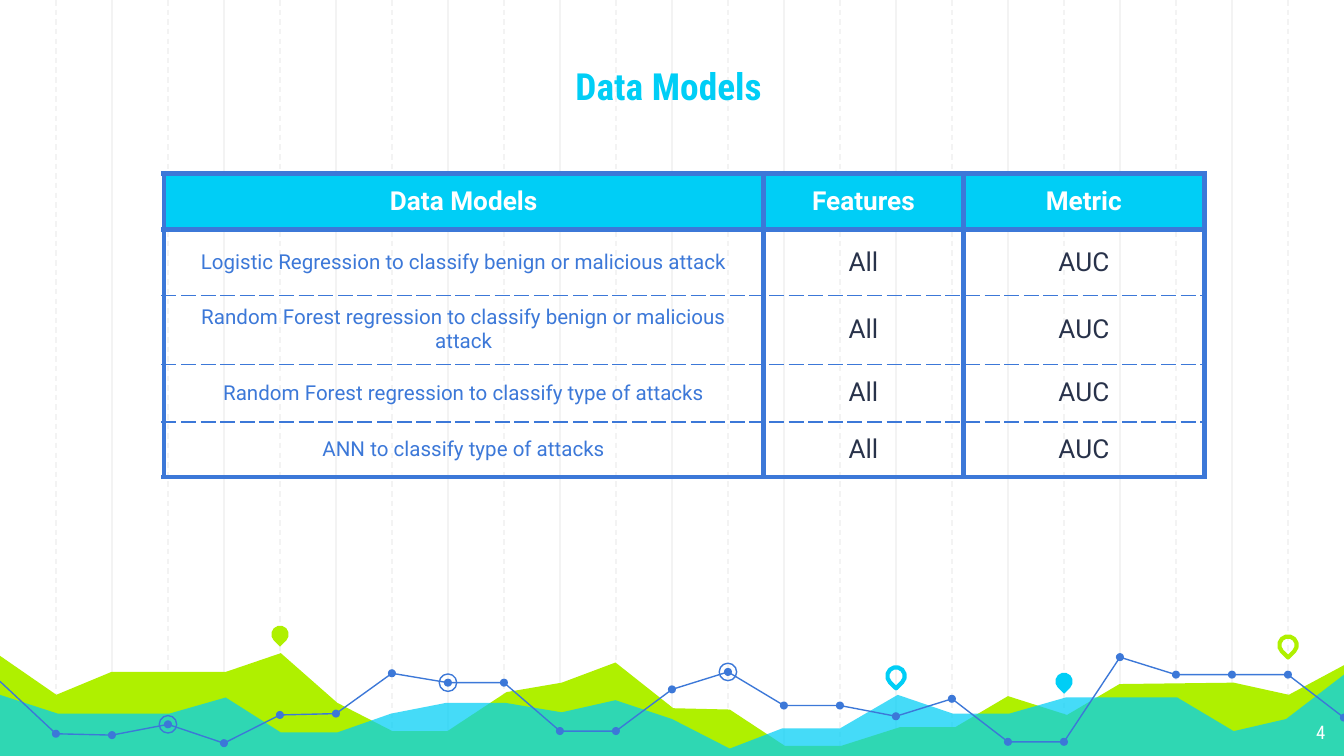
from lxml.etree import SubElement
from pptx import Presentation
from pptx.dml.color import RGBColor
from pptx.enum.dml import MSO_LINE as Dash
from pptx.enum.shapes import MSO_CONNECTOR as Link, MSO_SHAPE as Shape
from pptx.enum.text import MSO_ANCHOR as Anchor, PP_ALIGN as Align
from pptx.oxml.ns import qn
from pptx.util import Inches, Pt

WIDE, HIGH = 10, 10 * 9 / 16
STEP = WIDE / 24
BLUE, CYAN, LIME = "3C78D8", "00CEF6", "AFF000"
GREY, DARK, WHITE = "F3F3F3", "28324A", "FFFFFF"

# Content
TITLE = "Data Models"
ROWS = [
    ("Data Models", "Features", "Metric"),
    ("Logistic Regression to classify benign or malicious attack", "All", "AUC"),
    ("Random Forest regression to classify benign or malicious attack", "All", "AUC"),
    ("Random Forest regression to classify type of attacks", "All", "AUC"),
    ("ANN to classify type of attacks", "All", "AUC"),
]
COLS = [4.46, 1.49, 1.79]
TALL = [0.42, 0.49, 0.51, 0.43, 0.41]

# Landscape: ridge points of the hills, heights of the line chart per grid step
HILLS = [
    (LIME, 100, [
        (0, 4.88), (0.42, 5.17), (0.83, 5), (1.68, 5), (2.09, 4.86), (2.51, 5.23),
        (2.92, 5.44), (3.33, 5.44), (3.77, 5.15), (4.18, 5.08), (4.58, 4.93), (5.01, 5.27),
        (5.43, 5.28), (5.84, 5.55), (6.26, 5.55), (6.7, 5.41), (7.11, 5.41), (7.5, 5.18),
        (7.94, 5.32), (8.33, 5.09), (9.18, 5.08), (9.59, 5.17), (WIDE, 4.95)]),
    (CYAN, 73, [
        (0, 5.17), (0.43, 5.31), (1.26, 5.31), (1.68, 5.19), (2.09, 5.45), (2.51, 5.45),
        (2.91, 5.31), (3.32, 5.23), (3.76, 5.23), (4.18, 5.3), (4.58, 5.21), (5, 5.35),
        (5.43, 5.57), (5.82, 5.42), (6.25, 5.42), (6.68, 5.17), (7.09, 5.31), (7.51, 5.31),
        (7.93, 5.19), (8.76, 5.19), (9.18, 5.44), (9.57, 5.35), (WIDE, 5.02)]),
]
LEVELS = [
    5.07, 5.46, 5.47, 5.39, 5.53, 5.32, 5.31, 5.01, 5.08, 5.08, 5.44, 5.44, 5.13,
    5, 5.25, 5.25, 5.33, 5.2, 5.52, 5.52, 4.89, 5.02, 5.02, 5.02, 5.34,
]
TRAILS = [(0, 11), (11, 20), (20, 24)]  # first and last step of each stretch
RINGS = [8, 3, 13]
PINS = [  # grid step, height, colour, filled
    (5, 4.72, LIME, True), (16, 5.03, CYAN, False),
    (19, 5.07, CYAN, True), (23, 4.8, LIME, False),
]


def tint(code):
    return RGBColor.from_string(code)


def paint(part, fill=None, line=None, width=0.75):
    part.shadow.inherit = False
    if fill:
        part.fill.solid()
        part.fill.fore_color.rgb = tint(fill)
    else:
        part.fill.background()
    if line:
        part.line.color.rgb = tint(line)
        part.line.width = Pt(width)
    else:
        part.line.fill.background()


def trace(pts, close):
    pts = [(Inches(x), Inches(y)) for x, y in pts]
    pen = slide.shapes.build_freeform(*pts[0], scale=1)
    pen.add_line_segments(pts[1:], close=close)
    return pen.convert_to_shape()


def mark(kind, x, y, size):
    return slide.shapes.add_shape(
        kind, Inches(x - size / 2), Inches(y - size / 2), Inches(size), Inches(size))


def write(frame, text, size, color, font, bold=False, align=Align.CENTER):
    para = frame.paragraphs[0]
    para.alignment = align
    run = para.add_run()
    run.text = text
    run.font.size, run.font.name, run.font.bold = Pt(size), font, bold
    run.font.color.rgb = tint(color)


def label(box, text, size, color, bold, align, anchor):
    frame = slide.shapes.add_textbox(*map(Inches, box)).text_frame
    frame.word_wrap, frame.vertical_anchor = True, anchor
    frame.margin_left = frame.margin_right = Inches(0.1)
    frame.margin_top = frame.margin_bottom = Inches(0.1)
    write(frame, text, size, color, "Roboto Condensed", bold, align)


def edge(cell, side, width, dash):
    line = SubElement(cell._tc.get_or_add_tcPr(), qn("a:ln" + side), w=str(Pt(width)))
    SubElement(SubElement(line, qn("a:solidFill")), qn("a:srgbClr"), val=BLUE)
    SubElement(line, qn("a:prstDash"), val=dash)


deck = Presentation()
deck.slide_width, deck.slide_height = Inches(WIDE), Inches(HIGH)
slide = deck.slides.add_slide(deck.slide_layouts[6])

# Vertical grid: solid on even steps, dashed on odd ones
for step in [*range(2, 24, 2), *range(1, 24, 2)]:
    x = Inches(step * STEP)
    rule = slide.shapes.add_connector(Link.STRAIGHT, x, 0, x, Inches(HIGH))
    rule.line.color.rgb, rule.line.width = tint(GREY), Pt(0.75)
    if step % 2:
        rule.line.dash_style = Dash.DASH
    SubElement(rule._element.spPr, qn("a:effectLst"))

# Hills
for color, alpha, ridge in HILLS:
    hill = trace(ridge + [(WIDE, HIGH), (0, HIGH)], True)
    paint(hill, color)
    if alpha < 100:
        solid = hill._element.spPr.find(qn("a:solidFill"))
        SubElement(solid[0], qn("a:alpha"), val=str(alpha * 1000))

# Line chart with dots and rings
dots = [(step * STEP, y) for step, y in enumerate(LEVELS)]
for first, last in TRAILS:
    paint(trace(dots[first:last + 1], False), line=BLUE)
for x, y in dots[1:]:
    paint(mark(Shape.OVAL, x, y, 0.06), BLUE)
for step in RINGS:
    paint(mark(Shape.OVAL, *dots[step], 0.13), line=BLUE)

# Map pins
for step, y, color, full in PINS:
    pin = mark(Shape.TEAR, step * STEP, y, 0.13)
    pin.rotation = 135
    paint(pin, color if full else None, None if full else color, 2.25)

# Table
grid = slide.shapes.add_table(
    len(ROWS), len(COLS), Inches(1.22), Inches(1.29),
    Inches(sum(COLS)), Inches(sum(TALL))).table
grid.first_row = grid.horz_banding = False
for col, wide in zip(grid.columns, COLS):
    col.width = Inches(wide)
for r, (row, tall) in enumerate(zip(ROWS, TALL)):
    grid.rows[r].height = Inches(tall)
    for c, text in enumerate(row):
        cell = grid.cell(r, c)
        cell.vertical_anchor = Anchor.MIDDLE
        cell.margin_left = cell.margin_right = Inches(0.1)
        cell.margin_top = cell.margin_bottom = Inches(0.07)
        thick, thin = (3, "solid"), (0.75, "dash")
        edge(cell, "L", *thick)
        edge(cell, "R", *thick)
        edge(cell, "T", *(thick if r < 2 else thin))
        edge(cell, "B", *(thick if r in (0, len(ROWS) - 1) else thin))
        if r == 0:
            cell.fill.solid()
            cell.fill.fore_color.rgb = tint(CYAN)
            size, color = 14, WHITE
        else:
            cell.fill.background()
            size, color = (14, DARK) if c else (11, BLUE)
        write(cell.text_frame, text, size, color, "Roboto", r == 0)

# Page number and title
label((9.36, 5.28, 0.6, 0.34), "4", 10, WHITE, False, Align.RIGHT, Anchor.TOP)
label((1.15, 0.12, 7.65, 0.78), TITLE, 20, CYAN, True, Align.CENTER, Anchor.BOTTOM)

deck.save("out.pptx")
